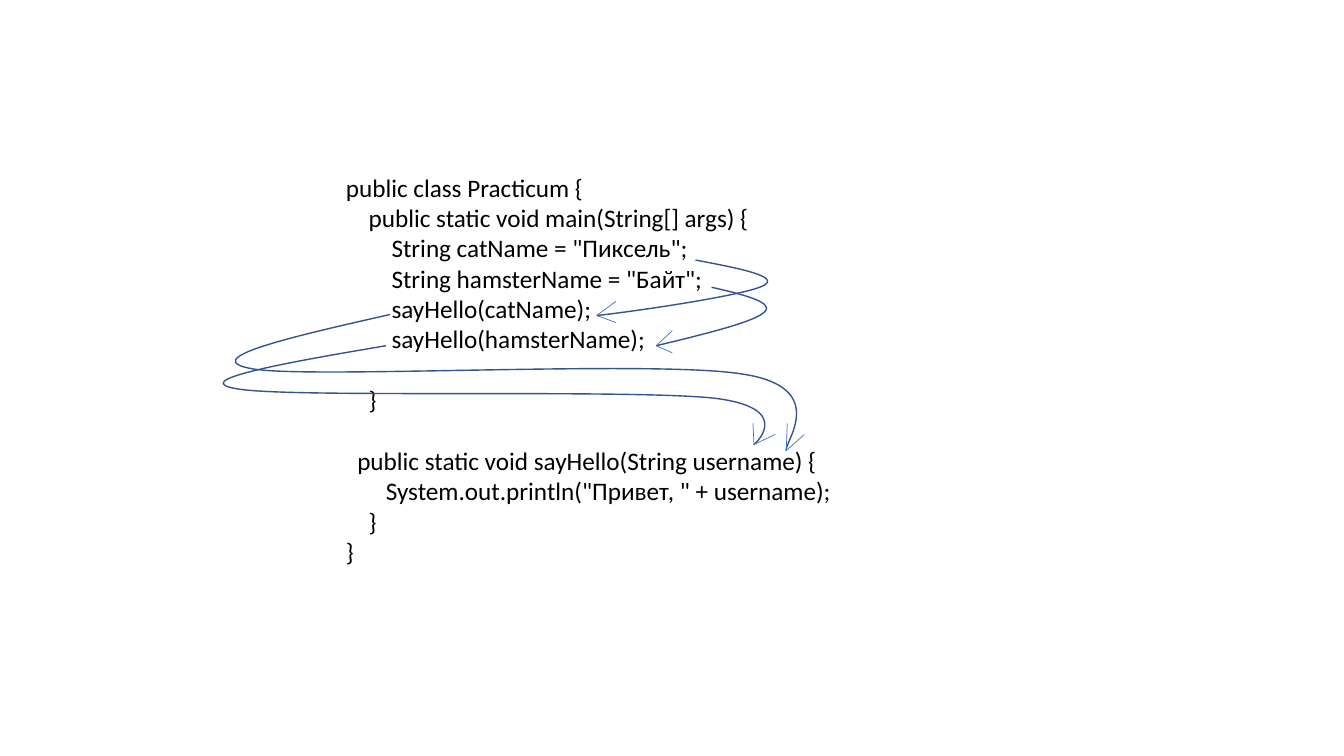
from dataclasses import dataclass

from lxml import etree
from pptx import Presentation
from pptx import util as u
from pptx.dml.color import RGBColor
from pptx.enum import shapes, text
from pptx.oxml.ns import qn

Point = tuple[float, float]  # column, row

CELL = u.Inches(0.1)  # the grid has square cells
COLUMNS, ROWS = 133.33, 75
CURVE_STEPS = 20


@dataclass(frozen=True)
class Theme:
    font: str = "Calibri"
    code_size: int = 18
    line_height: int = 22
    space_width: float = 4.07
    ink: RGBColor = RGBColor(0x00, 0x00, 0x00)
    curve: RGBColor = RGBColor(0x32, 0x54, 0x91)
    curve_width: float = 1
    barb: RGBColor = RGBColor(0x44, 0x72, 0xC4)
    barb_width: float = 0.5


THEME = Theme()


@dataclass(frozen=True)
class CodeLine:
    words: str
    indent: int = 0  # in spaces
    gap: int = 0  # empty lines above


@dataclass(frozen=True)
class FlowArrow:
    """Cubic curve: a start, then two controls and an end per segment; barbs meet at the last point."""
    points: list[Point]
    barbs: list[Point]


CODE = [
    CodeLine("public class Practicum {"),
    CodeLine("public static void main(String[] args) {", 4),
    CodeLine('String catName = "Пиксель";', 8),
    CodeLine('String hamsterName = "Байт";', 8),
    CodeLine("sayHello(catName);", 8),
    CodeLine("sayHello(hamsterName);", 8),
    CodeLine("}", 4, gap=1),
    CodeLine("public static void sayHello(String username) {", 2, gap=1),
    CodeLine('System.out.println("Привет, " + username);', 7),
    CodeLine("}", 4),
    CodeLine("}"),
]

ARROWS = [
    FlowArrow([(69, 25.8), (73.2, 26.6), (77.4, 27.4), (75.8, 28.3),
               (74.1, 29.3), (62.2, 31), (59.2, 31.3)],
              [(61.1, 32), (61.1, 29.9)]),
    FlowArrow([(70.6, 28.5), (73.7, 29.2), (76.8, 30), (75.9, 30.9),
               (75, 31.9), (70.1, 33.1), (65.1, 34.3)],
              [(66.7, 32.8), (66.7, 35)]),
    FlowArrow([(38.7, 31.2), (29, 33.4), (19.3, 35.6), (25.1, 36.6),
               (30.9, 37.6), (64.8, 35.7), (73.6, 37.1),
               (82.4, 38.4), (77.8, 43.9), (78, 44.7)],
              [(78.1, 42), (79.8, 43.1)]),
    FlowArrow([(38.3, 34.3), (28.2, 36), (18.2, 37.8), (23.7, 38.6),
               (29.1, 39.5), (62.3, 38.6), (70.8, 39.5),
               (79.3, 40.5), (74.5, 44.4), (74.8, 44.1)],
              [(74.7, 42), (76.9, 43.1)]),
]


def grid(cells: float) -> u.Emu:
    return u.Emu(round(cells * CELL))


def curve_samples(points: list[Point]) -> list[Point]:
    samples = []
    for first in range(0, len(points) - 1, 3):
        a, b, c, d = points[first:first + 4]
        for step in range(1, CURVE_STEPS + 1):
            t = step / CURVE_STEPS
            s = 1 - t
            samples.append(tuple(
                s**3 * a[i] + 3 * s * s * t * b[i] + 3 * s * t * t * c[i] + t**3 * d[i]
                for i in (0, 1)))
    return samples


def add_curve(page, points: list[Point]) -> None:
    """Size a freeform by sampled points, then give it true cubic segments."""
    builder = page.shapes.build_freeform(*map(grid, points[0]), scale=1.0)
    builder.add_line_segments(
        [(grid(x), grid(y)) for x, y in curve_samples(points)], close=False)
    curve = builder.convert_to_shape()
    curve.shadow.inherit = False
    curve.fill.background()
    curve.line.color.rgb = THEME.curve
    curve.line.width = u.Pt(THEME.curve_width)

    outline = curve.element.find(".//" + qn("a:path"))
    for segment in outline.findall(qn("a:lnTo")):
        outline.remove(segment)
    for first in range(1, len(points), 3):
        segment = etree.SubElement(outline, qn("a:cubicBezTo"))
        for x, y in points[first:first + 3]:
            etree.SubElement(segment, qn("a:pt"),
                             x=str(grid(x) - curve.left), y=str(grid(y) - curve.top))


def add_barb(page, tip: Point, end: Point) -> None:
    barb = page.shapes.add_connector(
        shapes.MSO_CONNECTOR.STRAIGHT, *map(grid, tip + end))
    barb.line.color.rgb = THEME.barb
    barb.line.width = u.Pt(THEME.barb_width)
    etree.SubElement(barb.element.spPr, qn("a:effectLst"))


def add_flow_arrow(page, arrow: FlowArrow) -> None:
    add_curve(page, arrow.points)
    for end in arrow.barbs:
        add_barb(page, arrow.points[-1], end)


def write_line(para, words: str, *, indent: int, gap: int) -> None:
    para.space_before = u.Pt(gap * THEME.line_height)
    para._p.get_or_add_pPr().set("marL", str(u.Pt(indent * THEME.space_width)))
    span = para.add_run()
    span.text = words
    span.font.name = THEME.font
    span.font.size = u.Pt(THEME.code_size)
    span.font.color.rgb = THEME.ink


def add_code(page, lines: list[CodeLine]) -> None:
    box = page.shapes.add_textbox(
        grid(COLUMNS / 4), grid(16.6), grid(COLUMNS / 2), grid(40.4))
    frame = box.text_frame
    frame.word_wrap = True
    frame.auto_size = text.MSO_AUTO_SIZE.SHAPE_TO_FIT_TEXT
    for number, line in enumerate(lines):
        para = frame.add_paragraph() if number else frame.paragraphs[0]
        write_line(para, line.words, indent=line.indent, gap=line.gap)


def main() -> None:
    deck = Presentation()
    deck.slide_width, deck.slide_height = grid(COLUMNS), grid(ROWS)
    page = deck.slides.add_slide(deck.slide_layouts.get_by_name("Blank"))
    add_code(page, CODE)
    for arrow in ARROWS:
        add_flow_arrow(page, arrow)
    deck.save("out.pptx")


if __name__ == "__main__":
    main()
